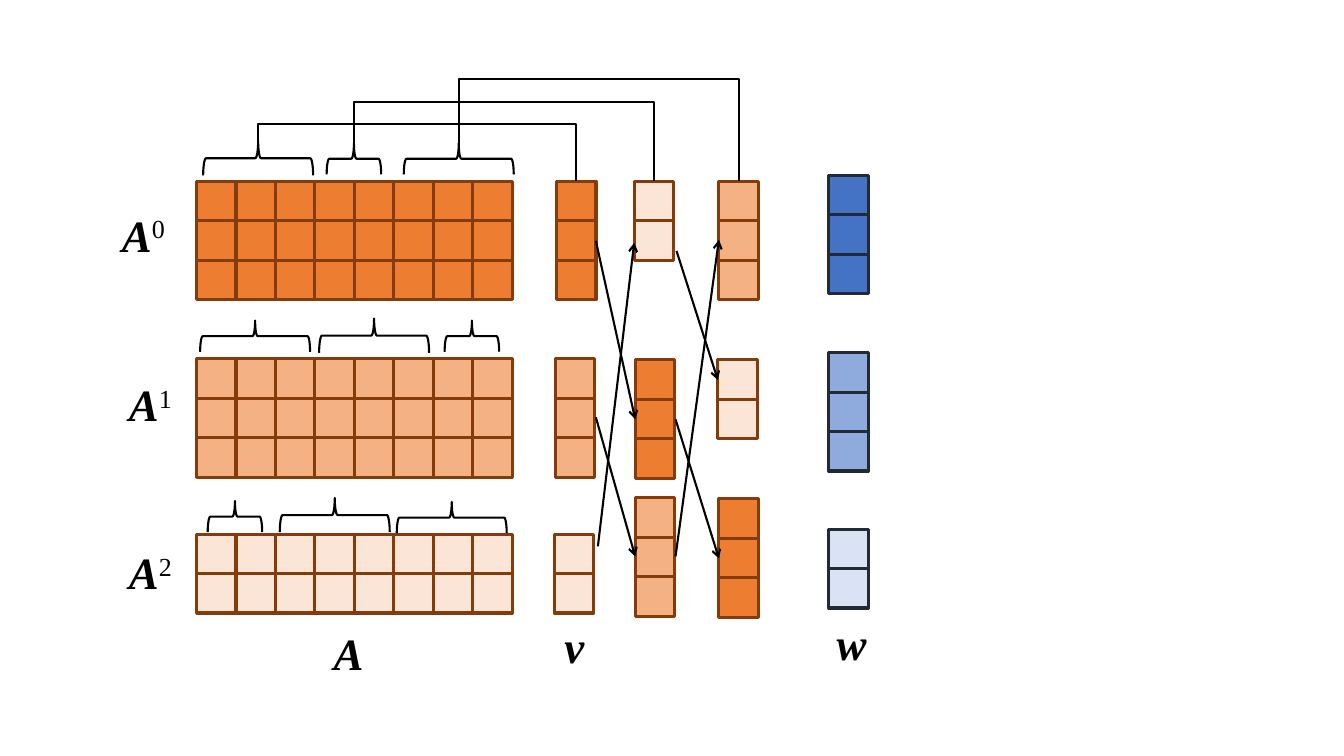
"""Build a slide showing matrix A and vectors v and w split into three blocks."""
from lxml import etree
from pptx import Presentation
from pptx import util as u
from pptx.dml.color import RGBColor
from pptx.enum import shapes, text
from pptx.oxml import ns

BLACK = RGBColor(0x00, 0x00, 0x00)
ORANGE = RGBColor(0xED, 0x7D, 0x31)
PEACH = RGBColor(0xF4, 0xB1, 0x83)
CREAM = RGBColor(0xFB, 0xE5, 0xD6)
BROWN = RGBColor(0x84, 0x3C, 0x0B)
BLUE = RGBColor(0x44, 0x72, 0xC4)
SKY = RGBColor(0x8F, 0xAA, 0xDC)
ICE = RGBColor(0xDA, 0xE3, 0xF3)
NAVY = RGBColor(0x22, 0x2A, 0x35)

CELL = 3.13 / 8
BLOCK_TOP = 1.8

deck = Presentation()
deck.slide_width, deck.slide_height = u.Inches(13.33), u.Inches(7.5)
slide = deck.slides.add_slide(deck.slide_layouts[6])


def link(kind, x1, y1, x2, y2):
    """Add a thin black connector without a shadow."""
    connector = slide.shapes.add_connector(kind, *map(u.Inches, (x1, y1, x2, y2)))
    connector.line.color.rgb = BLACK
    connector.line.width = u.Pt(1.5)
    etree.SubElement(connector._element.spPr, ns.qn("a:effectLst"))
    return connector


blocks = [
    (1.95, BLOCK_TOP, 8, 3, ORANGE, BROWN),
    (1.95, 3.56, 8, 3, PEACH, BROWN),
    (1.95, 5.3, 8, 2, CREAM, BROWN),
    (5.52, BLOCK_TOP, 1, 3, ORANGE, BROWN),
    (5.51, 3.56, 1, 3, PEACH, BROWN),
    (5.5, 5.3, 1, 2, CREAM, BROWN),
    (6.29, BLOCK_TOP, 1, 2, CREAM, BROWN),
    (6.3, 3.57, 1, 3, ORANGE, BROWN),
    (6.3, 4.94, 1, 3, PEACH, BROWN),
    (7.13, BLOCK_TOP, 1, 3, PEACH, BROWN),
    (7.12, 3.57, 1, 2, CREAM, BROWN),
    (7.13, 4.95, 1, 3, ORANGE, BROWN),
    (8.22, 1.74, 1, 3, BLUE, NAVY),
    (8.22, 3.5, 1, 3, SKY, NAVY),
    (8.22, 5.25, 1, 2, ICE, NAVY),
]
for left, top, columns, rows, fill, outline in blocks:
    block = slide.shapes.add_group_shape()
    for row in range(rows):
        for column in range(columns):
            entry = block.shapes.add_shape(
                shapes.MSO_SHAPE.RECTANGLE,
                u.Inches(left + column * CELL), u.Inches(top + row * CELL),
                u.Inches(CELL), u.Inches(CELL))
            entry.shadow.inherit = False
            entry.fill.solid()
            entry.fill.fore_color.rgb = fill
            entry.line.color.rgb = outline
            entry.line.width = u.Pt(2.25)

shifts = [
    (5.91, 2.39, 6.3, 4.16),
    (5.91, 4.14, 6.3, 5.52),
    (5.93, 5.42, 6.29, 2.41),
    (6.71, 2.49, 7.12, 3.77),
    (6.7, 4.16, 7.13, 5.54),
    (6.7, 5.52, 7.13, 2.38),
]
for ends in shifts:
    arrow = link(shapes.MSO_CONNECTOR.STRAIGHT, *ends)
    etree.SubElement(arrow.line._get_or_add_ln(), ns.qn("a:tailEnd"), type="arrow")

braces = [
    (2.56, 1.4, 0.34, 1.09), (4.55, 1.42, 0.31, 1.09), (3.51, 1.42, 0.31, 0.54),
    (3.71, 3.16, 0.34, 1.09), (2.53, 3.18, 0.31, 1.09), (4.68, 3.18, 0.31, 0.54),
    (3.32, 4.94, 0.34, 1.09), (4.48, 4.98, 0.31, 1.09), (2.33, 4.97, 0.31, 0.54),
]
for center, top, depth, span in braces:
    brace = slide.shapes.add_shape(
        shapes.MSO_SHAPE.LEFT_BRACE,
        u.Inches(center - depth / 2), u.Inches(top + depth / 2 - span / 2),
        u.Inches(depth), u.Inches(span))
    brace.rotation = 90
    brace.shadow.inherit = False
    brace.fill.background()
    brace.line.color.rgb = BLACK
    brace.line.width = u.Pt(1.5)

rails = [(2.56, 1.4, 5.71, 1.23), (4.55, 1.42, 7.33, 0.78), (3.51, 1.42, 6.49, 1.01)]
for start, tip, end, rail in rails:
    drop, span = BLOCK_TOP - tip, end - start
    left = (start + end - drop) / 2
    top = (tip + BLOCK_TOP - span) / 2
    bracket = link(shapes.MSO_CONNECTOR.ELBOW, left, top, left + drop, top + span)
    frame = bracket._element.spPr.find(ns.qn("a:xfrm"))
    frame.set("rot", str(270 * 60000))
    frame.set("flipH", "1")
    guides = bracket._element.spPr.find(ns.qn("a:prstGeom")).get_or_add_avLst()
    bend = round((rail - tip) / drop * 100000)
    etree.SubElement(guides, ns.qn("a:gd"), name="adj1", fmla=f"val {bend}")

labels = [
    (1.11, 2.01, "A", "0"), (1.18, 3.69, "A", "1"), (1.18, 5.36, "A", "2"),
    (3.21, 6.16, "A", ""), (5.5, 6.09, "v", ""), (8.2, 6.06, "w", ""),
]
for left, top, symbol, power in labels:
    label = slide.shapes.add_textbox(
        u.Inches(left), u.Inches(top), u.Inches(0.65 if power else 0.49), u.Inches(0.64))
    label.text_frame.word_wrap = True
    label.text_frame.margin_right = 0
    label.text_frame.auto_size = text.MSO_AUTO_SIZE.SHAPE_TO_FIT_TEXT
    label.text_frame.text = symbol
    line = label.text_frame.paragraphs[0]
    if power:
        exponent = line.add_run()
        exponent.text = power
        exponent.font._element.set("baseline", "30000")
    for index, run in enumerate(line.runs):
        run.font.name = "Times New Roman"
        run.font.size = u.Pt(32)
        run.font.color.rgb = BLACK
        run.font.bold = run.font.italic = index == 0

deck.save("out.pptx")
